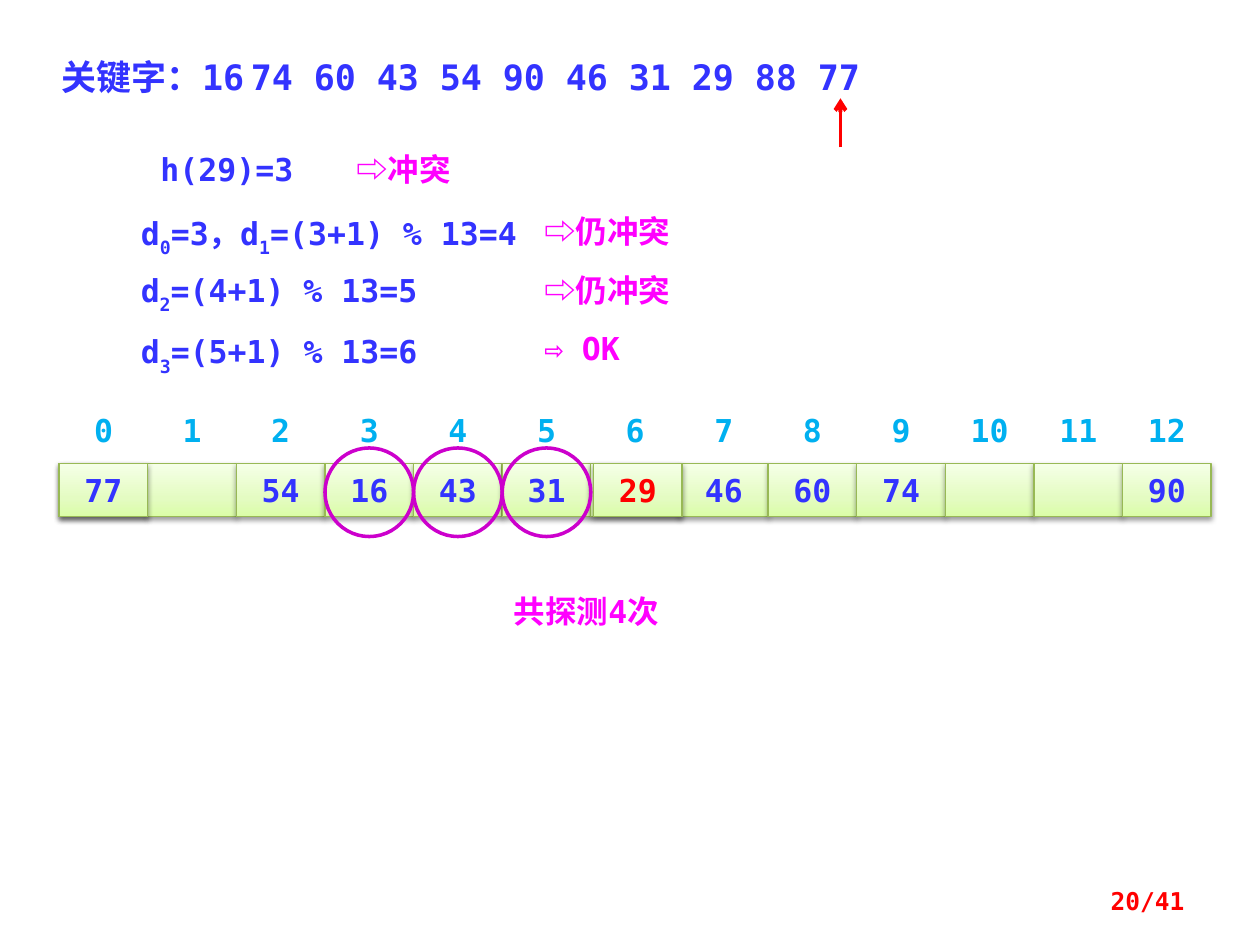
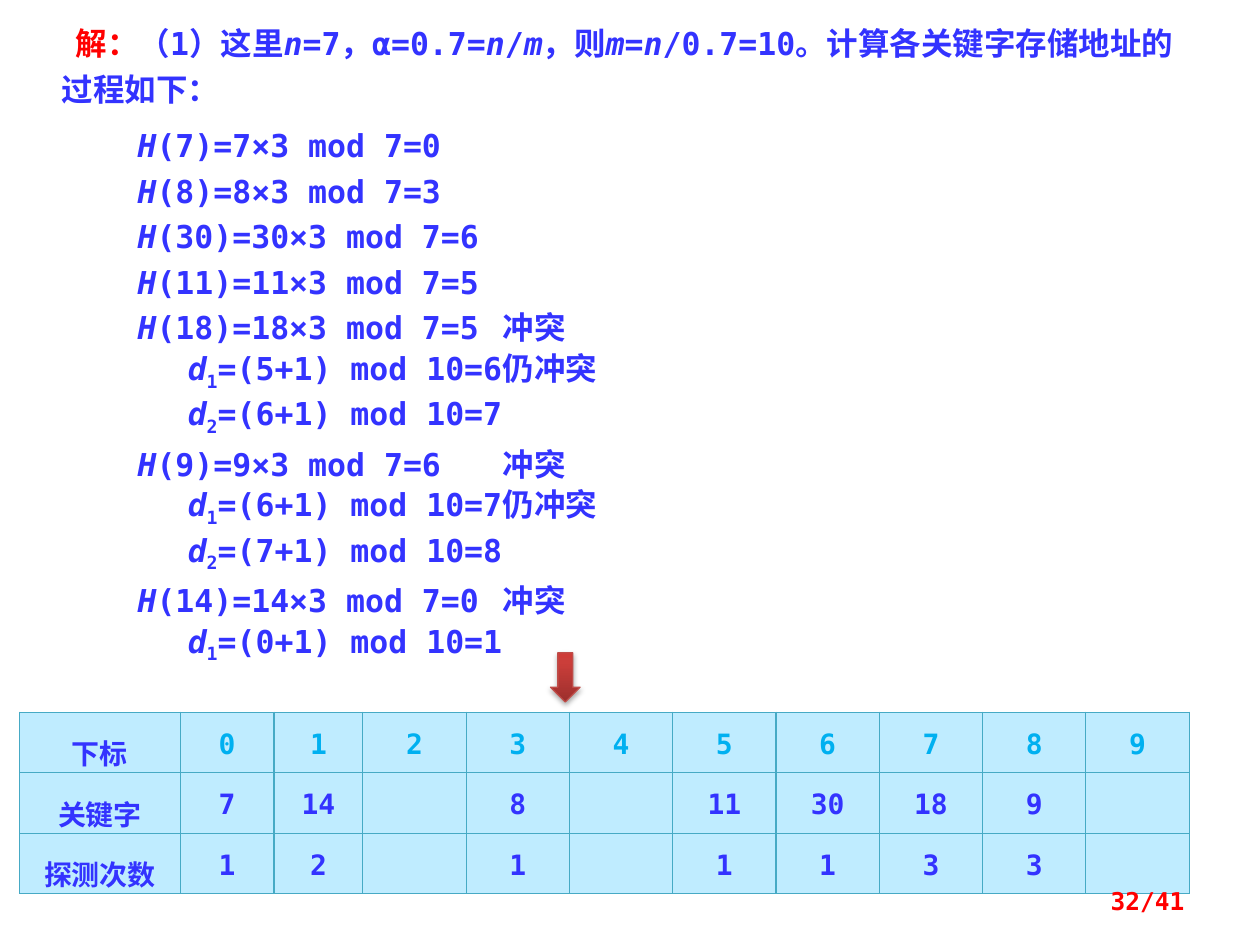
"""Build two slides on hash tables: a linear probing trace and a worked solution."""
import pptx
import pptx.util
import pptx.dml.color
import pptx.enum.shapes
import pptx.enum.text
import pptx.oxml.ns
from lxml import etree

Pt = pptx.util.Pt
RGBColor = pptx.dml.color.RGBColor
SHAPE = pptx.enum.shapes.MSO_SHAPE
ALIGN = pptx.enum.text.PP_ALIGN
ANCHOR = pptx.enum.text.MSO_ANCHOR
qn = pptx.oxml.ns.qn

MONO, CJK = "DejaVu Sans Mono", "Noto Sans CJK SC"
BLUE = RGBColor(0x33, 0x33, 0xFF)
SKY = RGBColor(0x00, 0xB0, 0xF0)
RED = RGBColor(0xFF, 0x00, 0x00)
PINK = RGBColor(0xFF, 0x00, 0xFF)
PURPLE = RGBColor(0xCC, 0x00, 0xCC)
WHITE = RGBColor(0xFF, 0xFF, 0xFF)
GREEN_LINE = RGBColor(0x98, 0xB9, 0x55)
RED_LINE = RGBColor(0xBF, 0x4C, 0x48)
TABLE_FILL = RGBColor(0xBF, 0xEC, 0xFF)
TABLE_LINE = RGBColor(0x46, 0xAA, 0xC5)
GREEN_STOPS = [(0, RGBColor(0xDA, 0xFD, 0xA7)), (35, RGBColor(0xE4, 0xFC, 0xC2)),
               (100, RGBColor(0xF5, 0xFF, 0xE7))]
RED_STOPS = [(0, RGBColor(0x9C, 0x2F, 0x2D)), (80, RGBColor(0xCB, 0x3E, 0x3A)),
             (100, RGBColor(0xCE, 0x3B, 0x37))]

KEYS = [16, 74, 60, 43, 54, 90, 46, 31, 29, 88, 77]
STORED = ["", "", "54", "16", "43", "31", "", "46", "60", "74", "", "", "90"]
PLACED = [(6, 1.5, "29", RED), (0, 0, "77", BLUE)]
PROBED = [3, 4, 5]
PROBE_STEPS = [
    (122.4, 303.8, [("d", ""), ("0", "sub"), ("=3，d", ""), ("1", "sub"), ("=(3+1) % 13=4", "")]),
    (154.8, 196, [("d", ""), ("2", "sub"), ("=(4+1) % 13=5", "")]),
    (190.1, 202.3, [("d", ""), ("3", "sub"), ("=(5+1) % 13=6", "")]),
]
RESULTS = [
    (196.6, 82.1, 101.5, "⇨冲突"),
    (303.8, 117.4, 101.5, "⇨仍冲突"),
    (303.8, 151.2, 101.5, "⇨仍冲突"),
    (303.8, 184.3, 101.5, "⇨ OK"),
    (286.6, 334.8, 140.4, "共探测4次"),
]

INTRO = [("解：", "red"), ("（1）这里", ""), ("n", "italic"), ("=7，α=0.7=", ""), ("n", "italic"),
         ("/", ""), ("m", "italic"), ("，则", ""), ("m", "italic"), ("=", ""), ("n", "italic"),
         ("/0.7=10。计算各关键字存储地址的过程如下：", "")]
HASH_STEPS = [
    ("H", "", "(7)=7×3 mod 7=0", "", 0),
    ("H", "", "(8)=8×3 mod 7=3", "", 0),
    ("H", "", "(30)=30×3 mod 7=6", "", 0),
    ("H", "", "(11)=11×3 mod 7=5", "", 0),
    ("H", "", "(18)=18×3 mod 7=5", "冲突", 360),
    ("d", "1", "=(5+1) mod 10=6", "仍冲突", 360),
    ("d", "2", "=(6+1) mod 10=7", "", 0),
    ("H", "", "(9)=9×3 mod 7=6", "冲突", 432),
    ("d", "1", "=(6+1) mod 10=7", "仍冲突", 360),
    ("d", "2", "=(7+1) mod 10=8", "", 0),
    ("H", "", "(14)=14×3 mod 7=0", "冲突", 360),
    ("d", "1", "=(0+1) mod 10=1", "", 0),
]
STEP_INDENT = {"H": 43.3, "d": 72}
HASH_TABLE = [
    ["下标"] + [str(index) for index in range(10)],
    ["关键字", "7", "14", "", "8", "", "11", "30", "18", "9", ""],
    ["探测次数", "1", "2", "", "1", "", "1", "1", "3", "3", ""],
]
COLUMN_WIDTHS = [91.8, 53.6, 50.8] + [59.04] * 8
ROW_HEIGHTS = [32.7, 32.3, 34]

CELL_LEFT, CELL_TOP, CELL_STEP, CELL_WIDTH, CELL_HEIGHT = 33.8, 265, 50.64, 50.64, 30.24
LABEL_TOP, LABEL_WIDTH, RING = 234.7, 30.24, 50.64


def style(para, size, color, align=ALIGN.LEFT):
    """Set the shared look of a paragraph."""
    para.alignment = align
    para.font.name, para.font.size, para.font.bold = MONO, Pt(size), True
    para.font.color.rgb = color
    etree.SubElement(para._p.pPr.find(qn("a:defRPr")), qn("a:ea"), typeface=CJK)


def write(para, spans, drop):
    """Add styled spans, with subscripts lowered by drop percent."""
    for text, kind in spans:
        span = para.add_run()
        span.text = text
        if kind == "italic":
            span.font.italic = True
        elif kind == "red":
            span.font.name = CJK
            span.font.color.rgb = RED
        elif kind == "sub":
            span._r.get_or_add_rPr().set("baseline", str(-1000 * drop))


def indent(para, first, stops=()):
    """Drop the bullet and set the first-line indent and tab stops."""
    properties = para._p.get_or_add_pPr()
    properties.set("marL", "0")
    properties.set("indent", str(int(Pt(first))))
    default = properties.find(qn("a:defRPr"))
    default.addprevious(etree.Element(qn("a:buNone")))
    if stops:
        tabs = etree.Element(qn("a:tabLst"))
        for stop in stops:
            etree.SubElement(tabs, qn("a:tab"), pos=str(int(Pt(stop))), algn="l")
        default.addprevious(tabs)


def place(box, left, top, width, height):
    """Move a placeholder and let its text start at the top."""
    box.left, box.top, box.width, box.height = Pt(left), Pt(top), Pt(width), Pt(height)
    frame = box.text_frame
    frame.auto_size = pptx.enum.text.MSO_AUTO_SIZE.NONE
    frame.vertical_anchor = ANCHOR.TOP
    frame.word_wrap = True
    return frame


def add_text(page, left, top, width, height, text, color, size=18, align=ALIGN.LEFT):
    """Add a one-paragraph text box."""
    box = page.shapes.add_textbox(Pt(left), Pt(top), Pt(width), Pt(height))
    box.text_frame.word_wrap = True
    para = box.text_frame.paragraphs[0]
    para.text = text
    style(para, size, color, align)
    return box


def add_shape(page, kind, left, top, width, height, line=None, weight=0.75):
    """Add an unfilled preset shape without a shadow."""
    shape = page.shapes.add_shape(kind, Pt(left), Pt(top), Pt(width), Pt(height))
    shape.shadow.inherit = False
    shape.fill.background()
    if line is None:
        shape.line.fill.background()
    else:
        shape.line.color.rgb = line
        shape.line.width = Pt(weight)
    return shape


def add_glossy(page, kind, left, top, width, height, line, stops, opacity):
    """Add a shape with an upward gradient and a soft shadow below."""
    shape = add_shape(page, kind, left, top, width, height, line)
    shape.fill.gradient()
    shape.fill.gradient_angle = 90
    stop_list = shape._element.spPr.find(".//" + qn("a:gsLst"))
    for old in list(stop_list):
        stop_list.remove(old)
    for position, color in stops:
        stop = etree.SubElement(stop_list, qn("a:gs"), pos=str(position * 1000))
        etree.SubElement(stop, qn("a:srgbClr"), val=str(color))
    effects = shape._element.spPr.find(qn("a:effectLst"))
    shadow = etree.SubElement(effects, qn("a:outerShdw"), blurRad=str(int(Pt(3.1))),
                              dist=str(int(Pt(1.7))), dir="5400000", rotWithShape="0")
    black = etree.SubElement(shadow, qn("a:srgbClr"), val="000000")
    etree.SubElement(black, qn("a:alpha"), val=str(opacity * 1000))
    return shape


def add_cell(page, left, text, color=BLUE):
    """Add one slot of the hash array."""
    cell = add_glossy(page, SHAPE.RECTANGLE, left, CELL_TOP, CELL_WIDTH, CELL_HEIGHT,
                      GREEN_LINE, GREEN_STOPS, 38)
    if text:
        cell.text_frame.vertical_anchor = ANCHOR.MIDDLE
        para = cell.text_frame.paragraphs[0]
        para.text = text
        style(para, 18, color, ALIGN.CENTER)


def add_page_number(page, text):
    """Add the red page counter at the lower right."""
    box = add_text(page, 516.2, 500.4, 167.8, 28.8, text, RED, 14, ALIGN.RIGHT)
    box.text_frame.vertical_anchor = ANCHOR.MIDDLE


def build_probing(deck):
    """Build the linear probing trace."""
    page = deck.slides.add_slide(deck.slide_layouts[5])
    para = place(page.shapes.title, 28.1, 28.1, 613.4, 31.7).paragraphs[0]
    para.text = "关键字：" + "\t".join(map(str, KEYS))
    style(para, 20, BLUE)
    indent(para, 0, [133.2 + 48.17 * index for index in range(len(KEYS) - 1)])

    for index, text in enumerate(STORED):
        left = CELL_LEFT + index * CELL_STEP
        add_cell(page, left, text)
        label = add_text(page, left + (CELL_WIDTH - LABEL_WIDTH) / 2, LABEL_TOP, LABEL_WIDTH, 21.6,
                         str(index), SKY, align=ALIGN.CENTER)
        frame = label.text_frame
        frame.margin_left = frame.margin_right = frame.margin_top = frame.margin_bottom = 0
    for index, shift, text, color in PLACED:
        add_cell(page, CELL_LEFT + index * CELL_STEP + shift, text, color)
    for index in PROBED:
        add_shape(page, SHAPE.OVAL, CELL_LEFT + index * CELL_STEP,
                  CELL_TOP + (CELL_HEIGHT - RING) / 2 + 1.2, RING, RING, PURPLE, 2)

    hash_box = add_shape(page, SHAPE.RECTANGLE, 61.9, 82.1, 135.4, 28.8)
    hash_box.fill.solid()
    hash_box.fill.fore_color.rgb = WHITE
    hash_box.text_frame.vertical_anchor = ANCHOR.TOP
    para = hash_box.text_frame.paragraphs[0]
    para.text = "h(29)=3"
    style(para, 18, BLUE, ALIGN.CENTER)

    for top, width, spans in PROBE_STEPS:
        para = add_text(page, 73.4, top, width, 22.3, "", BLUE,
                        align=ALIGN.JUSTIFY).text_frame.paragraphs[0]
        write(para, spans, 30)
        para.line_spacing = 0.7
        para.space_before = Pt(9)
        before = para._p.pPr.find(qn("a:spcBef"))
        before.remove(before[0])
        etree.SubElement(before, qn("a:spcPct"), val="50000")
    for left, top, width, text in RESULTS:
        add_text(page, left, top, width, 28.8, text, PINK)

    arrow = page.shapes.add_connector(pptx.enum.shapes.MSO_CONNECTOR.STRAIGHT,
                                      Pt(480.3), Pt(84.3), Pt(480.3), Pt(56.2))
    arrow.line.color.rgb = RED
    arrow.line.width = Pt(2.25)
    etree.SubElement(arrow.line._get_or_add_ln(), qn("a:tailEnd"), type="arrow")
    etree.SubElement(arrow._element.spPr, qn("a:effectLst"))
    add_page_number(page, "20/41")


def build_solution(deck):
    """Build the worked solution with its result table."""
    page = deck.slides.add_slide(deck.slide_layouts[1])
    title = page.shapes.title._element
    title.getparent().remove(title)
    frame = place(page.placeholders[1], 28.1, 5.8, 658.1, 381.6)
    lines = [(8, (), INTRO)]
    for name, sub, rest, note, stop in HASH_STEPS:
        spans = [(name, "italic"), (sub, "sub"), (rest + ("\t" + note if note else ""), "")]
        lines.append((STEP_INDENT[name], [stop] if stop else (), [span for span in spans if span[0]]))
    for index, (first, stops, spans) in enumerate(lines):
        para = frame.add_paragraph() if index else frame.paragraphs[0]
        style(para, 18, BLUE)
        indent(para, first, stops)
        para.line_spacing = 1.5 if index == 1 else Pt(26)
        para.space_before = Pt(0)
        write(para, spans, 25)

    table = page.shapes.add_table(len(HASH_TABLE), len(COLUMN_WIDTHS), Pt(11.2), Pt(406.9),
                                  Pt(sum(COLUMN_WIDTHS)), Pt(sum(ROW_HEIGHTS))).table
    table.first_row = table.horz_banding = False
    for column, width in zip(table.columns, COLUMN_WIDTHS):
        column.width = Pt(width)
    for row, height, texts in zip(table.rows, ROW_HEIGHTS, HASH_TABLE):
        row.height = Pt(height)
        for index, (cell, text) in enumerate(zip(row.cells, texts)):
            cell.margin_left = cell.margin_right = Pt(5)
            cell.margin_top = cell.margin_bottom = 0
            cell.fill.solid()
            cell.fill.fore_color.rgb = TABLE_FILL
            for order, side in enumerate(("a:lnL", "a:lnR", "a:lnT", "a:lnB")):
                border = etree.Element(qn(side), w=str(int(Pt(0.75))))
                paint = etree.SubElement(border, qn("a:solidFill"))
                etree.SubElement(paint, qn("a:srgbClr"), val=str(TABLE_LINE))
                cell._tc.get_or_add_tcPr().insert(order, border)
            para = cell.text_frame.paragraphs[0]
            para.text = text
            style(para, 16, SKY if texts is HASH_TABLE[0] and index else BLUE, ALIGN.CENTER)
            para.line_spacing = 1.5

    add_glossy(page, SHAPE.DOWN_ARROW, 314.6, 373, 16.9, 28.1, RED_LINE, RED_STOPS, 35)
    add_page_number(page, "32/41")


deck = pptx.Presentation()
deck.slide_width, deck.slide_height = Pt(720), Pt(540)
build_probing(deck)
build_solution(deck)
deck.save("out.pptx")
